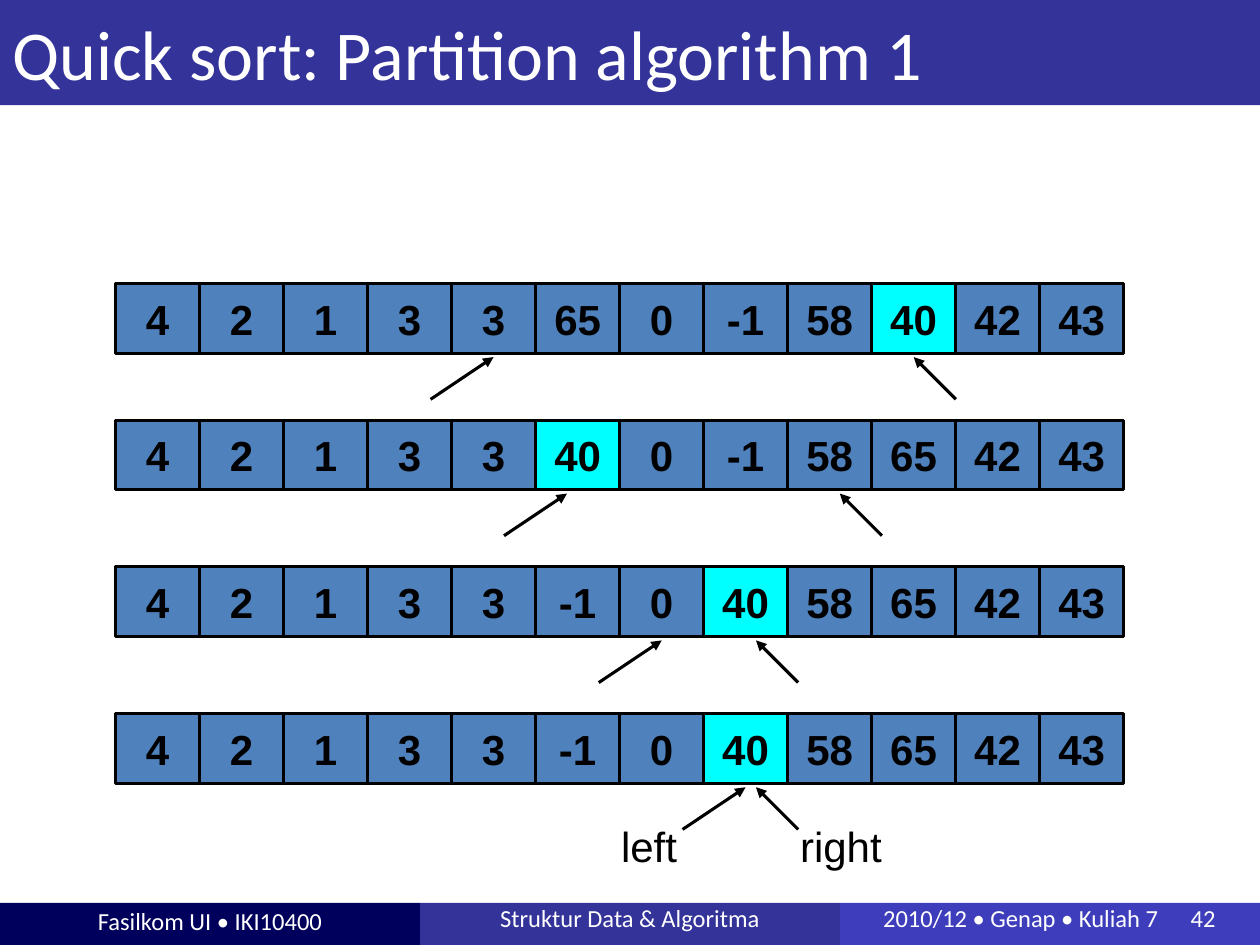
from dataclasses import dataclass

from lxml.etree import SubElement
from pptx import Presentation
from pptx.dml.color import RGBColor
from pptx.enum.shapes import MSO_CONNECTOR as Link, MSO_SHAPE as Preset
from pptx.enum.text import MSO_ANCHOR as Anchor, MSO_AUTO_SIZE as Fit, PP_ALIGN as Align
from pptx.oxml.ns import qn
from pptx.util import Cm, Pt


@dataclass(frozen=True)
class Theme:
    banner: str = "333399"
    footer_dark: str = "00005C"
    footer_light: str = "3E3EBC"
    cell: str = "4F81BD"
    pivot: str = "00FFFF"
    ink: str = "000000"
    paper: str = "FFFFFF"
    heading_font: str = "Calibri"
    body_font: str = "Arial"
    title_size: int = 40
    body_size: int = 24
    footer_size: int = 14
    line_width: float = 1.75


def apply_formats(target, formats):
    for name, value in formats.items():
        setattr(target, name, value)


class SlideBuilder:
    def __init__(self, slide, theme):
        self.slide = slide
        self.theme = theme

    def set_text(self, shape, text, font, size, color, bold=False, align=Align.CENTER,
                 **frame_formats):
        frame = shape.text_frame
        frame.text = text
        apply_formats(frame, {"vertical_anchor": Anchor.MIDDLE, "auto_size": Fit.NONE,
                              **frame_formats})
        paragraph = frame.paragraphs[0]
        paragraph.alignment = align
        run_font = paragraph.runs[0].font
        apply_formats(run_font, {"name": font, "size": Pt(size), "bold": bold})
        run_font.color.rgb = RGBColor.from_string(color)
        return paragraph

    def paint(self, shape, color):
        shape.fill.solid()
        shape.fill.fore_color.rgb = RGBColor.from_string(color)

    def stroke(self, line):
        line.color.rgb = RGBColor.from_string(self.theme.ink)
        line.width = Pt(self.theme.line_width)

    def rectangle(self, left, top, width, height, color):
        box = self.slide.shapes.add_shape(
            Preset.RECTANGLE, Cm(left), Cm(top), Cm(width), Cm(height))
        box.shadow.inherit = False
        self.paint(box, color)
        return box

    def title(self, text):
        heading = self.slide.shapes.title
        apply_formats(heading, {"left": 0, "top": 0, "width": Cm(25.4), "height": Cm(2.12)})
        self.paint(heading, self.theme.banner)
        self.set_text(heading, text, self.theme.heading_font, self.theme.title_size,
                      self.theme.paper, align=Align.LEFT)

    def footer(self, left, width, text, color, spacing, **formats):
        band = self.rectangle(left, 18.2, width, 0.85, color)
        band.line.fill.background()
        paragraph = self.set_text(
            band, text, self.theme.heading_font, self.theme.footer_size, self.theme.paper,
            **{"margin_top": 0, "margin_bottom": Cm(0.13), **formats})
        paragraph.line_spacing = spacing
        return paragraph

    def tab_stop(self, paragraph, position):
        stops = SubElement(paragraph._p.get_or_add_pPr(), qn("a:tabLst"))
        SubElement(stops, qn("a:tab"), pos=str(Cm(position)), algn="l")

    def cell(self, left, top, width, height, value, is_pivot):
        box = self.rectangle(left, top, width, height,
                             self.theme.pivot if is_pivot else self.theme.cell)
        self.stroke(box.line)
        self.set_text(box, str(value), self.theme.body_font, self.theme.body_size,
                      self.theme.ink, bold=True, word_wrap=False)

    def arrow(self, start_x, start_y, tip_x, tip_y):
        pointer = self.slide.shapes.add_connector(
            Link.STRAIGHT, Cm(start_x), Cm(start_y), Cm(tip_x), Cm(tip_y))
        self.stroke(pointer.line)
        SubElement(pointer.line._get_or_add_ln(), qn("a:tailEnd"), type="triangle")
        SubElement(pointer._element.spPr, qn("a:effectLst"))

    def label(self, left, top, width, height, text):
        box = self.slide.shapes.add_textbox(Cm(left), Cm(top), Cm(width), Cm(height))
        self.set_text(box, text, self.theme.body_font, self.theme.body_size, self.theme.ink,
                      align=Align.LEFT, vertical_anchor=Anchor.TOP, word_wrap=False,
                      auto_size=Fit.SHAPE_TO_FIT_TEXT)


PIVOT = 40
ARRAY_LEFT, ARRAY_WIDTH, CELL_HEIGHT = 2.33, 20.32, 1.4
TIP_DROP, START_DROP = 1.48, 2.33
LEFT_RUN, RIGHT_RUN = 1.27, 0.85

# Each step: top of the row, array values, tips of the left and right pointers
STEPS = [
    (5.72, [4, 2, 1, 3, 3, 65, 0, -1, 58, 40, 42, 43], 9.95, 18.42),
    (8.47, [4, 2, 1, 3, 3, 40, 0, -1, 58, 65, 42, 43], 11.43, 16.93),
    (11.43, [4, 2, 1, 3, 3, -1, 0, 40, 58, 65, 42, 43], 13.34, 15.24),
    (14.39, [4, 2, 1, 3, 3, -1, 0, 40, 58, 65, 42, 43], 15.03, 15.24),
]


def main():
    deck = Presentation()
    apply_formats(deck, {"slide_width": Cm(25.4), "slide_height": Cm(19.05)})
    theme = Theme()
    builder = SlideBuilder(deck.slides.add_slide(deck.slide_layouts[5]), theme)

    builder.title("Quick sort: Partition algorithm 1")

    third = 25.4 / 3
    builder.footer(0, third, "Fasilkom UI • IKI10400", theme.footer_dark, 1.0)
    builder.footer(third, third, "Struktur Data & Algoritma", theme.banner, 0.81)
    lecture = builder.footer(2 * third, third, "2010/12 • Genap • Kuliah 7\t42",
                             theme.footer_light, 0.81, align=Align.LEFT,
                             margin_left=Cm(0.87), margin_right=0)
    builder.tab_stop(lecture, 6.2)

    for top, values, left_tip, right_tip in STEPS:
        cell_width = ARRAY_WIDTH / len(values)
        for index, value in enumerate(values):
            builder.cell(ARRAY_LEFT + index * cell_width, top, cell_width, CELL_HEIGHT,
                         value, value == PIVOT)
        for start, tip in ((left_tip - LEFT_RUN, left_tip), (right_tip + RIGHT_RUN, right_tip)):
            builder.arrow(start, top + START_DROP, tip, top + TIP_DROP)

    builder.label(12.27, 16.41, 1.65, 1.27, "left")
    builder.label(15.88, 16.41, 2.16, 1.27, "right")

    deck.save("out.pptx")


if __name__ == "__main__":
    main()
